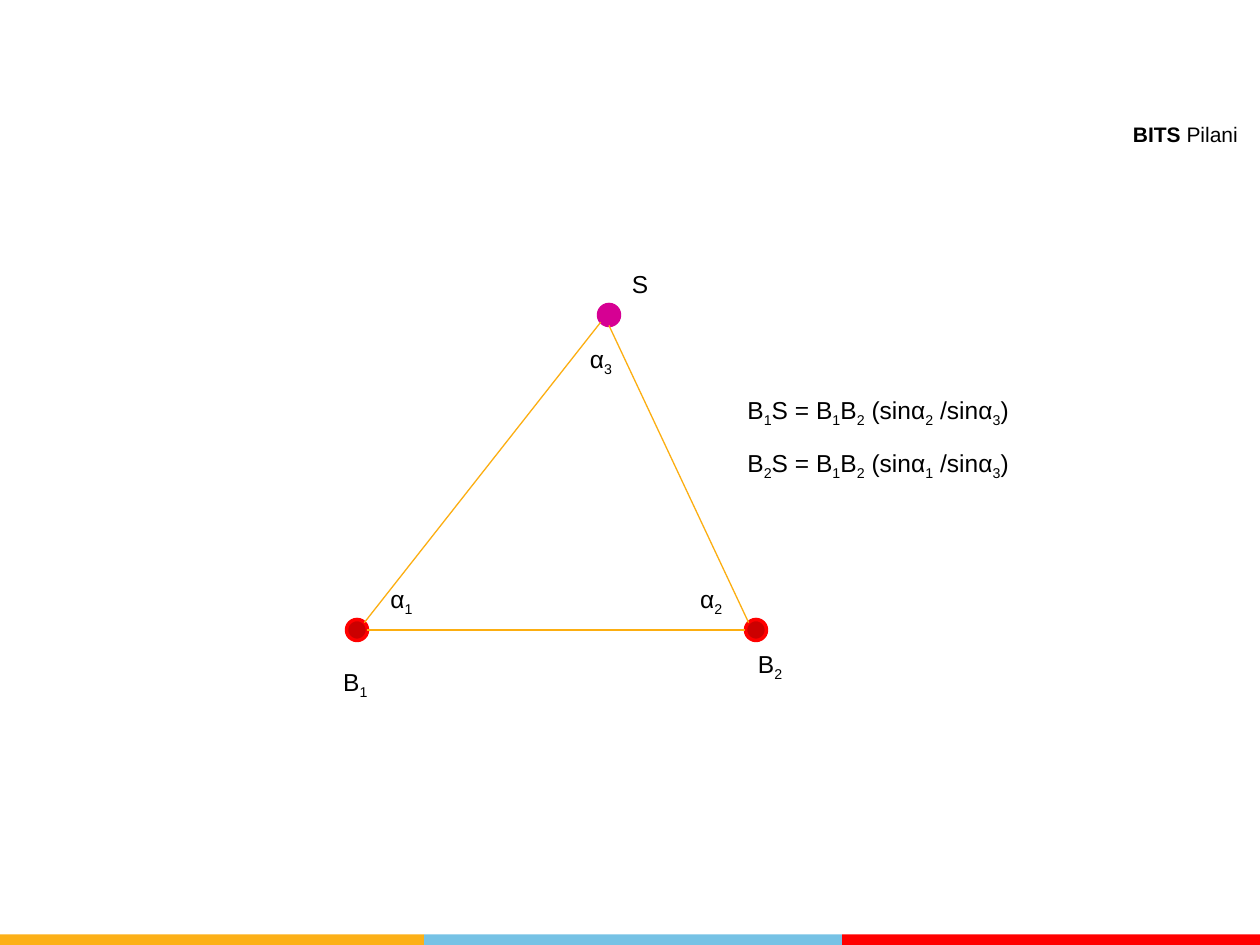
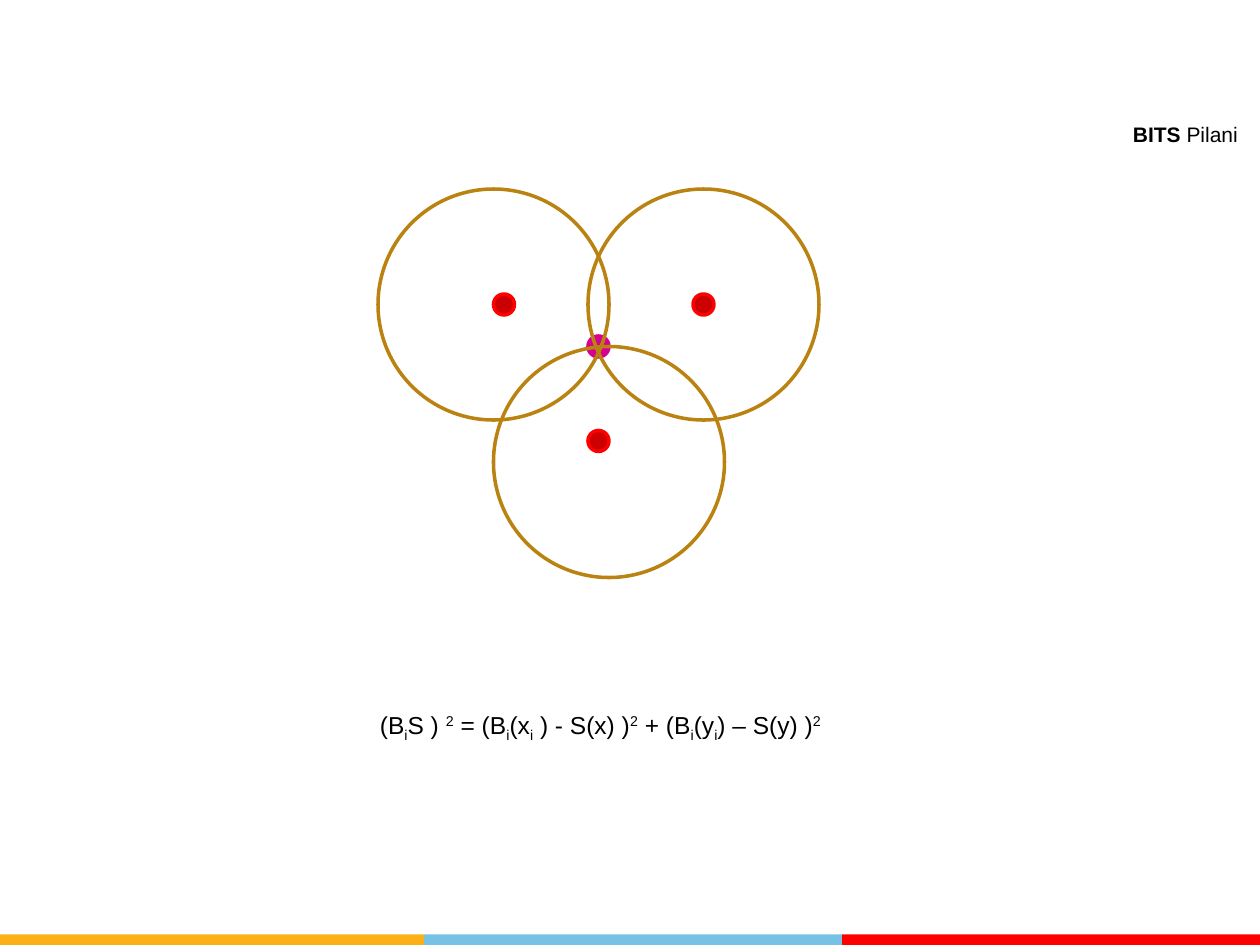
from dataclasses import dataclass
from typing import Optional

from lxml.etree import SubElement
from pptx import Presentation
from pptx.dml.color import RGBColor
from pptx.enum.shapes import MSO_CONNECTOR as Connector, MSO_SHAPE as Preset
from pptx.enum.text import PP_ALIGN as Align
from pptx.oxml.ns import qn
from pptx.slide import Slide
from pptx.util import Emu, Pt

# Shared measures and colours
EMU_PER_PX = 7620  # 120 px to the inch
SLIDE_W, SLIDE_H = 1200, 900
FONT = "Arial"
BLACK = "000000"
BEACON_FILL, BEACON_RIM = "CC0000", "FF0000"
SENSOR = "D60093"
SIDE = "FCAE11"
RANGE = "BA8211"
DOT_SIZE, RANGE_SIZE = 20, 220
LABEL_H = 48
BAND_H = 10
BASELINES = {"_": "-25000", "^": "30000"}


@dataclass
class Band:
    left: int
    right: int
    color: str


@dataclass
class Circle:
    left: int
    top: int
    size: int
    fill: Optional[str]
    rim: str


@dataclass
class Side:
    x1: int
    y1: int
    x2: int
    y2: int


@dataclass
class Label:
    """Text in which _ lowers and ^ raises the next character."""
    left: int
    top: int
    width: int
    markup: str


BANDS = [
    Band(0, 404, "FCB017"),
    Band(404, 802, "76C2E5"),
    Band(802, SLIDE_W, "FF0000"),
]


def px(length: int) -> Emu:
    return Emu(length * EMU_PER_PX)


def rgb(color: str) -> RGBColor:
    return RGBColor.from_string(color)


def beacon(left: int, top: int) -> Circle:
    return Circle(left, top, DOT_SIZE, BEACON_FILL, BEACON_RIM)


def sensor(left: int, top: int) -> Circle:
    return Circle(left, top, DOT_SIZE, SENSOR, SENSOR)


def signal_range(left: int, top: int) -> Circle:
    return Circle(left, top, RANGE_SIZE, None, RANGE)


def draw_band(slide: Slide, band: Band) -> None:
    stripe = slide.shapes.add_shape(
        Preset.RECTANGLE, px(band.left), px(SLIDE_H - BAND_H),
        px(band.right - band.left), px(BAND_H))
    stripe.shadow.inherit = False
    stripe.fill.solid()
    stripe.fill.fore_color.rgb = rgb(band.color)
    stripe.line.fill.background()


def draw_circle(slide: Slide, circle: Circle) -> None:
    oval = slide.shapes.add_shape(
        Preset.OVAL, px(circle.left), px(circle.top), px(circle.size), px(circle.size))
    oval.shadow.inherit = False
    if circle.fill:
        oval.fill.solid()
        oval.fill.fore_color.rgb = rgb(circle.fill)
    else:
        oval.fill.background()
    oval.line.color.rgb = rgb(circle.rim)
    oval.line.width = Pt(2)


def draw_side(slide: Slide, side: Side) -> None:
    line = slide.shapes.add_connector(
        Connector.STRAIGHT, px(side.x1), px(side.y1), px(side.x2), px(side.y2))
    line.line.color.rgb = rgb(SIDE)
    line.line.width = Pt(0.75)
    SubElement(line._element.spPr, qn("a:effectLst"))


def add_text_run(paragraph, text: str, size: int):
    run = paragraph.add_run()
    run.text = text
    run.font.name = FONT
    run.font.size = Pt(size)
    run.font.color.rgb = rgb(BLACK)
    return run


def split_scripts(markup: str) -> list[tuple[str, str]]:
    """Return (text, marker) pieces; plain text has an empty marker."""
    pieces, plain = [], ""
    characters = iter(markup)
    for character in characters:
        if character in BASELINES:
            pieces += [(plain, ""), (next(characters), character)]
            plain = ""
        else:
            plain += character
    return [piece for piece in pieces + [(plain, "")] if piece[0]]


def draw_label(slide: Slide, label: Label) -> None:
    frame = slide.shapes.add_textbox(
        px(label.left), px(label.top), px(label.width), px(LABEL_H)).text_frame
    frame.word_wrap = True
    for text, marker in split_scripts(label.markup):
        run = add_text_run(frame.paragraphs[0], text, 14)
        if marker:
            run._r.get_or_add_rPr().set("baseline", BASELINES[marker])


def draw_university(slide: Slide) -> None:
    frame = slide.shapes.add_textbox(px(1062), px(110), px(134), px(35)).text_frame
    frame.word_wrap = True
    university = frame.paragraphs[0]
    university.alignment = Align.CENTER
    add_text_run(university, "BITS", 12).font.bold = True
    add_text_run(university, " Pilani", 12).font.bold = False


def add_slide(deck, circles: list[Circle], sides: list[Side], labels: list[Label]) -> None:
    slide = deck.slides.add_slide(deck.slide_layouts[6])
    for band in BANDS:
        draw_band(slide, band)
    draw_university(slide)
    for circle in circles:
        draw_circle(slide, circle)
    for side in sides:
        draw_side(slide, side)
    for label in labels:
        draw_label(slide, label)


def main() -> None:
    deck = Presentation()
    deck.slide_width, deck.slide_height = px(SLIDE_W), px(SLIDE_H)

    # Triangulation: two beacons and the angles of the triangle
    add_slide(
        deck,
        circles=[beacon(330, 590), beacon(710, 590), sensor(570, 290)],
        sides=[
            Side(350, 600, 710, 600),
            Side(572, 307, 347, 593),
            Side(580, 310, 713, 593),
        ],
        labels=[
            Label(360, 550, 54, "α_1"),
            Label(655, 550, 54, "α_2"),
            Label(550, 322, 54, "α_3"),
            Label(700, 370, 500, "B_1S = B_1B_2 (sinα_2 /sinα_3)"),
            Label(700, 421, 500, "B_2S = B_1B_2 (sinα_1 /sinα_3)"),
            Label(590, 250, 90, "S"),
            Label(315, 629, 90, "B_1"),
            Label(710, 612, 90, "B_2"),
        ],
    )

    # Trilateration: three beacons whose ranges meet at the sensor
    add_slide(
        deck,
        circles=[
            beacon(470, 280), beacon(660, 280), beacon(560, 410), sensor(560, 320),
            signal_range(360, 180), signal_range(560, 180), signal_range(470, 330),
        ],
        sides=[],
        labels=[
            Label(350, 670, 750,
                  "(B_iS ) ^2 = (B_i(x_i ) - S(x) )^2 + (B_i(y_i) – S(y) )^2"),
        ],
    )
    deck.save("out.pptx")


if __name__ == "__main__":
    main()
